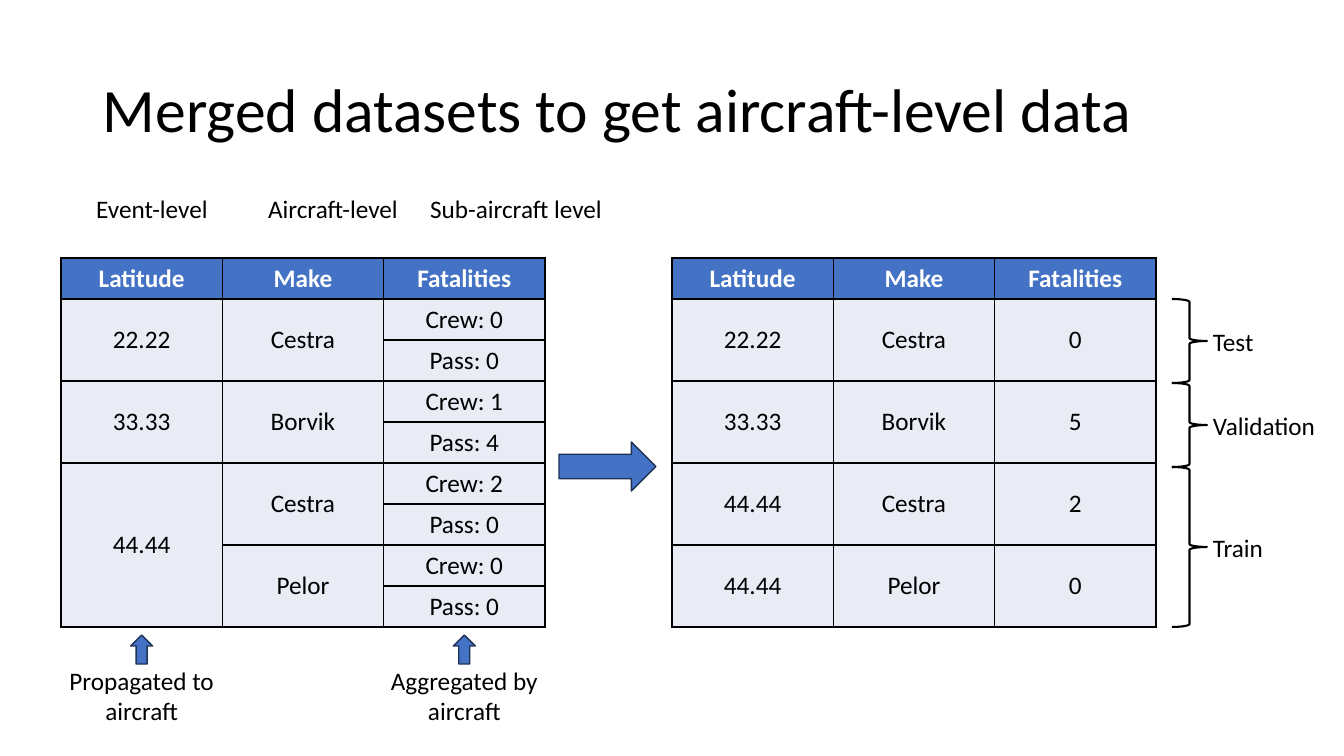
from dataclasses import dataclass
from itertools import product

from lxml.etree import SubElement
from pptx import Presentation
from pptx.dml.color import RGBColor
from pptx.enum.shapes import MSO_SHAPE
from pptx.enum.text import MSO_ANCHOR, PP_ALIGN
from pptx.oxml import parse_xml
from pptx.oxml.ns import nsdecls
from pptx.util import Pt


@dataclass(frozen=True)
class Theme:
    font: str = "Calibri"
    title: int = 44
    body: int = 18
    ink: str = "000000"
    paper: str = "FFFFFF"
    accent: str = "4472C4"
    accent_edge: str = "1E3256"
    cell: str = "E9EBF5"
    thin: float = 1
    brace: float = 1.5


T = Theme()
EMU_PER_PX = 914400 / 100.8
SLIDE = (1344, 756)

TITLE = ("Merged datasets to get aircraft-level data", (93, 40, 1159, 146))
HEADER = ["Latitude", "Make", "Fatalities"]
SOURCE_ROWS = [
    ["22.22", "Cestra", "Crew: 0"],
    [None, None, "Pass: 0"],
    ["33.33", "Borvik", "Crew: 1"],
    [None, None, "Pass: 4"],
    ["44.44", "Cestra", "Crew: 2"],
    [None, None, "Pass: 0"],
    [None, "Pelor", "Crew: 0"],
    [None, None, "Pass: 0"],
]
MERGED_ROWS = [
    ["22.22", "Cestra", "0"],
    ["33.33", "Borvik", "5"],
    ["44.44", "Cestra", "2"],
    ["44.44", "Pelor", "0"],
]
TABLE_TOP, TABLE_W, ROW_H = 258, 484, 41
SOURCE_X, MERGED_X = 61, 672
LEVELS = [("Event-level", 61, 182), ("Aircraft-level", 242, 182),
          ("Sub-aircraft level", 408, 216)]
LEVEL_Y, LINE_H = 188, 40
STEPS = [("Propagated to aircraft", 0), ("Aggregated by aircraft", 2)]
STEP_Y, STEP_W, STEP_H = 660, 182, 72
UP_Y, UP_W, UP_H = 635, 22, 29
MERGE_ARROW = (559, 442, 97, 49)
SPLITS = [("Test", 299, 383, 62), ("Validation", 383, 467, 124), ("Train", 467, 627, 71)]
BRACE_X, BRACE_W, SPLIT_X = 1172, 35, 1203


def px(n):
    return round(n * EMU_PER_PX)


def box(*lengths):
    return [px(n) for n in lengths]


def rgb(code):
    return RGBColor.from_string(code)


def assign(obj, fmt):
    for name, value in fmt.items():
        setattr(obj, name, value)


def write(tf, text, align=PP_ALIGN.CENTER, size=T.body, color=T.ink, bold=False):
    p = tf.paragraphs[0]
    p.alignment = align
    r = p.add_run()
    r.text = text
    assign(r.font, {"name": T.font, "size": Pt(size), "bold": bold})
    r.font.color.rgb = rgb(color)
    return p


def add_text(s, text, rect, wrap=True, anchor=MSO_ANCHOR.TOP, **fmt):
    tf = s.shapes.add_textbox(*box(*rect)).text_frame
    assign(tf, {"word_wrap": wrap, "vertical_anchor": anchor})
    return write(tf, text, **fmt)


def add_shape(s, kind, rect, fill=T.accent, edge=T.accent_edge, width=T.thin):
    sp = s.shapes.add_shape(kind, *box(*rect))
    sp.shadow.inherit = False
    if fill:
        sp.fill.solid()
        sp.fill.fore_color.rgb = rgb(fill)
    else:
        sp.fill.background()
    sp.line.color.rgb = rgb(edge)
    sp.line.width = Pt(width)


def add_borders(cell):
    tc_pr = cell._tc.get_or_add_tcPr()
    for i, side in enumerate(("lnL", "lnR", "lnT", "lnB")):
        ln = parse_xml(f'<a:{side} {nsdecls("a")} w="{Pt(T.thin)}"><a:solidFill/></a:{side}>')
        SubElement(ln[0], ln[0].tag.replace("solidFill", "srgbClr"), val=T.ink)
        tc_pr.insert(i, ln)


def add_grid(s, left, rows, row_h):
    cells = [HEADER] + rows
    n, m = len(cells), len(HEADER)
    height = ROW_H + row_h * len(rows)
    tbl = s.shapes.add_table(n, m, *box(left, TABLE_TOP, TABLE_W, height)).table
    tbl.horz_banding = False
    for col in tbl.columns:
        col.width = px(TABLE_W / m)
    for i, row in enumerate(tbl.rows):
        row.height = px(row_h if i else ROW_H)
    for i, j in product(range(n), range(m)):
        cell, text = tbl.cell(i, j), cells[i][j]
        cell.fill.solid()
        cell.fill.fore_color.rgb = rgb(T.cell if i else T.accent)
        cell.vertical_anchor = MSO_ANCHOR.MIDDLE if i else MSO_ANCHOR.TOP
        add_borders(cell)
        if text is None:
            continue
        write(cell.text_frame, text, color=T.ink if i else T.paper, bold=not i)
        last = i
        while last + 1 < n and cells[last + 1][j] is None:
            last += 1
        if last > i:
            cell.merge(tbl.cell(last, j))


def main():
    prs = Presentation()
    prs.slide_width, prs.slide_height = box(*SLIDE)
    s = prs.slides.add_slide(prs.slide_layouts[6])

    p = add_text(s, *TITLE, anchor=MSO_ANCHOR.MIDDLE, align=PP_ALIGN.LEFT, size=T.title)
    p.line_spacing = 0.9

    add_grid(s, SOURCE_X, SOURCE_ROWS, ROW_H)
    add_grid(s, MERGED_X, MERGED_ROWS, 2 * ROW_H)
    add_shape(s, MSO_SHAPE.RIGHT_ARROW, MERGE_ARROW)

    for text, x, w in LEVELS:
        add_text(s, text, (x, LEVEL_Y, w, LINE_H))

    for text, col in STEPS:
        mid = SOURCE_X + (col + 0.5) * TABLE_W / len(HEADER)
        add_text(s, text, (mid - STEP_W / 2, STEP_Y, STEP_W, STEP_H))
        add_shape(s, MSO_SHAPE.UP_ARROW, (mid - UP_W / 2, UP_Y, UP_W, UP_H))

    for text, top, bottom, w in SPLITS:
        add_shape(s, MSO_SHAPE.RIGHT_BRACE, (BRACE_X, top, BRACE_W, bottom - top),
                  fill=None, edge=T.ink, width=T.brace)
        mid = (top + bottom) / 2
        add_text(s, text, (SPLIT_X, mid - LINE_H / 2, w, LINE_H), wrap=False,
                 align=PP_ALIGN.LEFT)

    prs.save("out.pptx")


if __name__ == "__main__":
    main()
